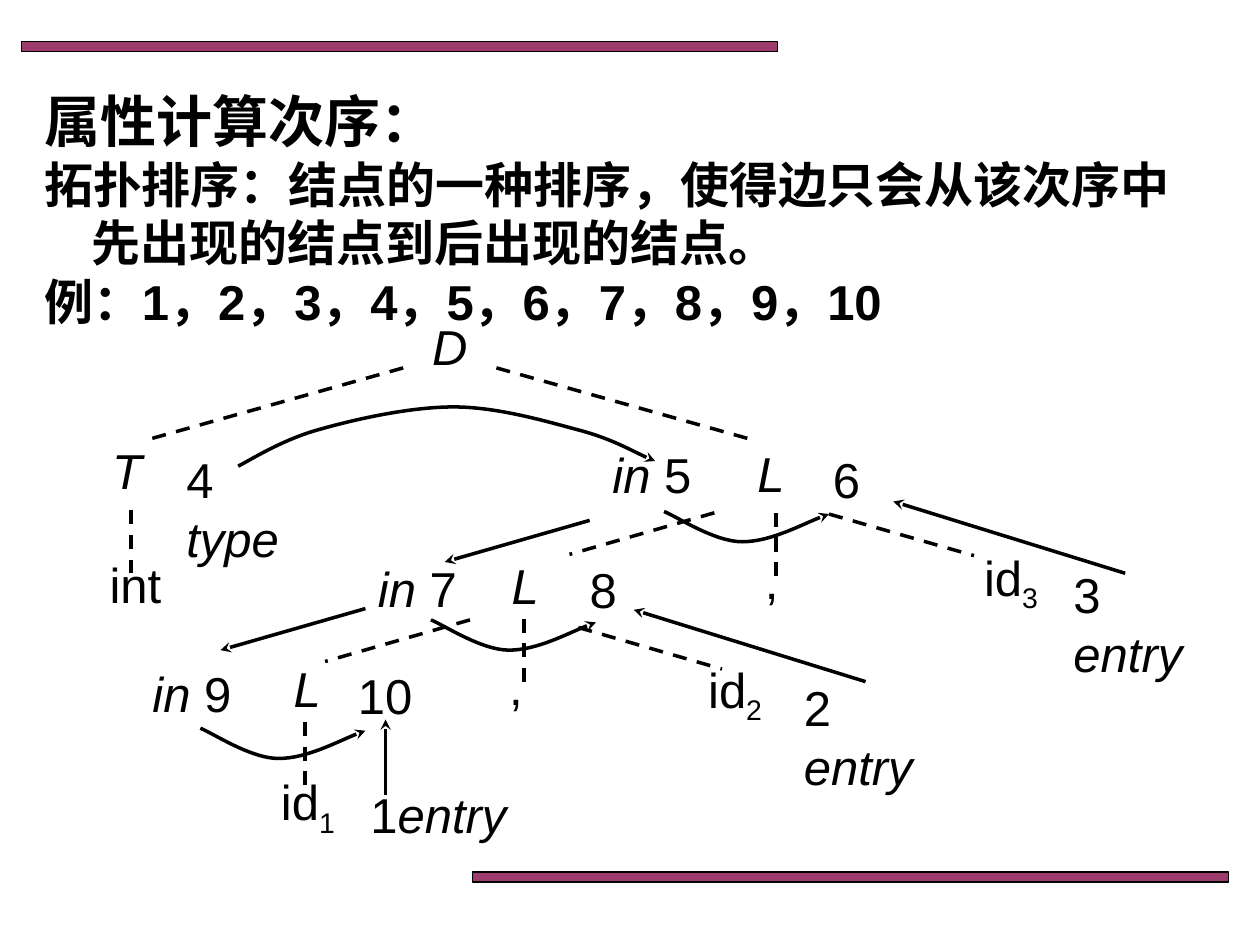
from lxml import etree
from pptx import Presentation
from pptx.dml.color import RGBColor
from pptx.enum.dml import MSO_LINE
from pptx.enum.shapes import MSO_CONNECTOR, MSO_SHAPE
from pptx.enum.text import MSO_ANCHOR, MSO_AUTO_SIZE
from pptx.oxml.ns import qn
from pptx.util import Inches, Pt

RECTANGLE = MSO_SHAPE.RECTANGLE
STRAIGHT = MSO_CONNECTOR.STRAIGHT
DASH = MSO_LINE.DASH
TOP = MSO_ANCHOR.TOP
NO_AUTOFIT = MSO_AUTO_SIZE.NONE

COLORS = {"ink": "000000", "bar": "993366"}
LATIN_FONT = "Arial"
CHINESE_FONT = "Noto Sans CJK SC"
LABEL_SIZE = 28
LINE_HEIGHT = 1.2

BARS = [(0.17, 0.33), (3.75, 6.92)]

BODY_LINES = [
    ("属性计算次序：", 32),
    ("拓扑排序：结点的一种排序，使得边只会从该次序中先出现的结点到后出现的结点。", 28),
    ("例：1，2，3，4，5，6，7，8，9，10", 28),
]

# Left, top, width, then the pieces of text; "i" is italic, "sub" is subscript.
LABELS = [
    (3.41, 2.5, 0.43, [("D", "i")]),
    (0.87, 3.49, 0.64, [("T", "i")]),
    (0.85, 4.39, 1.14, [("int", "")]),
    (1.46, 3.56, 1.06, [("4 ", ""), ("type", "i")]),
    (4.84, 3.52, 0.99, [("in ", "i"), ("5", "")]),
    (5.99, 3.51, 0.59, [("L", "i")]),
    (6.59, 3.56, 0.48, [("6", "")]),
    (6.05, 4.36, 0.43, [(",", "")]),
    (7.79, 4.4, 0.98, [("id", ""), ("3", "sub")]),
    (8.5, 4.47, 1.17, [("3 ", ""), ("entry", "i")]),
    (2.98, 4.42, 0.74, [("in ", "i"), ("7", "")]),
    (4.04, 4.4, 0.51, [("L", "i")]),
    (4.66, 4.43, 0.48, [("8", "")]),
    (4.02, 5.2, 0.43, [(",", "")]),
    (5.6, 5.29, 0.99, [("id", ""), ("2", "sub")]),
    (6.36, 5.37, 1.17, [("2 ", ""), ("entry", "i")]),
    (1.19, 5.26, 0.74, [("in ", "i"), ("9", "")]),
    (2.31, 5.22, 0.48, [("L", "i")]),
    (2.82, 5.27, 0.48, [("10", "")]),
    (2.21, 6.18, 0.99, [("id", ""), ("1", "sub")]),
    (2.92, 6.22, 1.17, [("1", ""), ("entry", "i")]),
]

TREE_EDGES = [
    (3.2, 2.92, 1.17, 3.49), (3.94, 2.92, 5.97, 3.49),
    (1.04, 4.05, 1.04, 4.55), (6.16, 4.07, 6.16, 4.58),
    (5.67, 4.07, 4.52, 4.4), (6.58, 4.08, 7.73, 4.41),
    (3.73, 4.92, 2.58, 5.25), (4.59, 4.98, 5.73, 5.31),
    (4.16, 4.91, 4.16, 5.41), (2.42, 5.73, 2.42, 6.24),
]

DEPENDENCIES = [
    (4.68, 4.13, 3.53, 4.46), (2.9, 4.83, 1.75, 5.16),
    (8.93, 4.55, 7.09, 3.98), (6.87, 5.41, 5.03, 4.84),
    (3.06, 6.31, 3.06, 5.71),
]

# Bezier points: a start, then two controls and an end for each segment.
TYPE_ARC = [
    (1.89, 3.7), (1.99, 3.65), (2.24, 3.49), (2.53, 3.41), (2.81, 3.33),
    (3.25, 3.23), (3.6, 3.23), (3.94, 3.23), (4.32, 3.34), (4.58, 3.41),
    (4.85, 3.48), (5.07, 3.61), (5.2, 3.66),
]
SMALL_ARC = [
    (0, 0), (0.1, 0.04), (0.4, 0.24), (0.62, 0.24),
    (0.84, 0.24), (1.16, 0.07), (1.31, 0.02),
]
SMALL_ARC_STARTS = [(5.27, 4.06), (3.42, 4.92), (1.59, 5.78)]


def color(name):
    return RGBColor.from_string(COLORS[name])


def style_paragraph(para, size):
    para.font.name = LATIN_FONT
    para.font.size = Pt(size)
    para.font.color.rgb = color("ink")
    para.line_spacing = Pt(size * LINE_HEIGHT)
    para.space_before = Pt(0)


def style_line(shape, dashed=False, arrow=False):
    line = shape.line
    line.color.rgb = color("ink")
    line.width = Pt(2)
    if dashed:
        line.dash_style = DASH
    if arrow:
        outline = shape._element.spPr.find(qn("a:ln"))
        etree.SubElement(outline, qn("a:tailEnd"), type="stealth")


def add_bar(slide, left, top):
    bar = slide.shapes.add_shape(
        RECTANGLE, Inches(left), Inches(top), Inches(6), Inches(0.08))
    bar.shadow.inherit = False
    bar.fill.solid()
    bar.fill.fore_color.rgb = color("bar")
    fill_color = bar._element.spPr.find(qn("a:solidFill"))[0]
    etree.SubElement(fill_color, qn("a:alpha"), val="96000")
    bar.line.color.rgb = color("ink")
    bar.line.width = Pt(0.75)


def fill_body(body):
    body.left, body.top = Inches(0.25), Inches(0.64)
    body.width, body.height = Inches(9.42), Inches(5.75)
    frame = body.text_frame
    frame.auto_size = NO_AUTOFIT
    frame.vertical_anchor = TOP
    for index, (text, size) in enumerate(BODY_LINES):
        para = frame.add_paragraph() if index else frame.paragraphs[0]
        span = para.add_run()
        span.text = text
        style_paragraph(para, size)
        para.font.bold = True
        etree.SubElement(span._r.get_or_add_rPr(), qn("a:ea"), typeface=CHINESE_FONT)
        properties = para._p.get_or_add_pPr()
        properties.set("marL", str(Inches(0.38)))
        properties.set("indent", str(-Inches(0.38)))
        properties.find(qn("a:defRPr")).addprevious(
            etree.Element(qn("a:buNone")))
        # Runs need their own settings where the placeholder supplies defaults.
        span.font.name = LATIN_FONT
        span.font.size = Pt(size)
        span.font.bold = True
        span.font.color.rgb = color("ink")


def add_label(slide, left, top, width, pieces):
    box = slide.shapes.add_textbox(
        Inches(left), Inches(top), Inches(width), Inches(0.48))
    frame = box.text_frame
    frame.word_wrap = True
    frame.margin_left = frame.margin_right = Inches(0.02)
    frame.margin_top = frame.margin_bottom = Inches(0.01)
    para = frame.paragraphs[0]
    style_paragraph(para, LABEL_SIZE)
    for text, style in pieces:
        span = para.add_run()
        span.text = text
        span.font.name = LATIN_FONT
        span.font.size = Pt(LABEL_SIZE)
        span.font.color.rgb = color("ink")
        span.font.italic = style == "i"
        if style == "sub":
            span._r.get_or_add_rPr().set("baseline", "-25000")


def add_edge(slide, ends, dashed=False, arrow=False):
    edge = slide.shapes.add_connector(STRAIGHT, *map(Inches, ends))
    style_line(edge, dashed, arrow)
    etree.SubElement(edge._element.spPr, qn("a:effectLst"))


def add_arc(slide, points):
    """Draw an arrow along Bezier points, turning each three line steps into a curve."""
    start, *steps = [(Inches(x), Inches(y)) for x, y in points]
    builder = slide.shapes.build_freeform(*start)
    builder.add_line_segments(steps, close=False)
    arc = builder.convert_to_shape()
    segments = list(arc._element.iter(qn("a:lnTo")))
    for first in range(0, len(segments), 3):
        curve = etree.Element(qn("a:cubicBezTo"))
        segments[first].addprevious(curve)
        for segment in segments[first:first + 3]:
            curve.append(segment[0])
            segment.getparent().remove(segment)
    arc.shadow.inherit = False
    arc.fill.background()
    style_line(arc, arrow=True)


def main():
    deck = Presentation()
    deck.slide_width, deck.slide_height = Inches(10), Inches(7.5)
    slide = deck.slides.add_slide(deck.slide_layouts[1])
    title = slide.shapes.title._element
    title.getparent().remove(title)
    fill_body(slide.placeholders[1])
    for place in BARS:
        add_bar(slide, *place)
    for label in LABELS:
        add_label(slide, *label)
    for ends in TREE_EDGES:
        add_edge(slide, ends, dashed=True)
    for ends in DEPENDENCIES:
        add_edge(slide, ends, arrow=True)
    add_arc(slide, TYPE_ARC)
    for left, top in SMALL_ARC_STARTS:
        add_arc(slide, [(left + x, top + y) for x, y in SMALL_ARC])
    deck.save("out.pptx")


if __name__ == "__main__":
    main()
